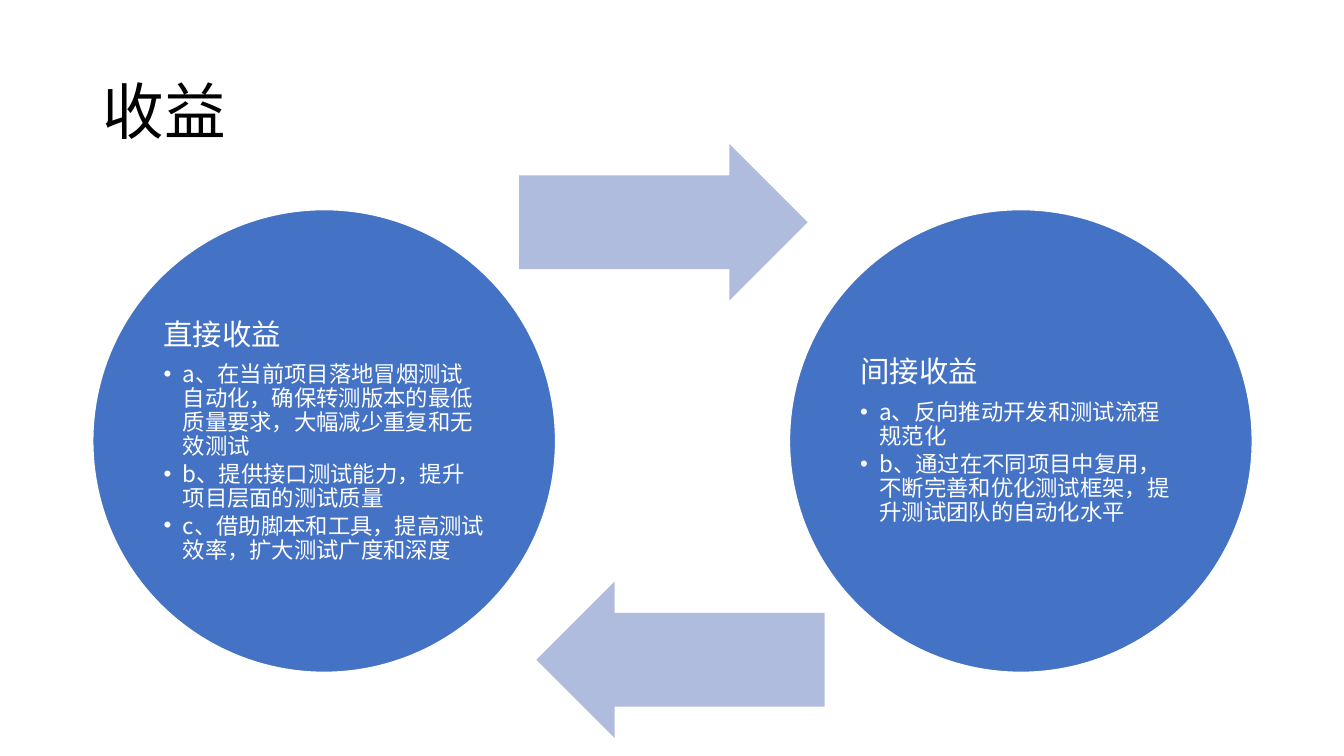
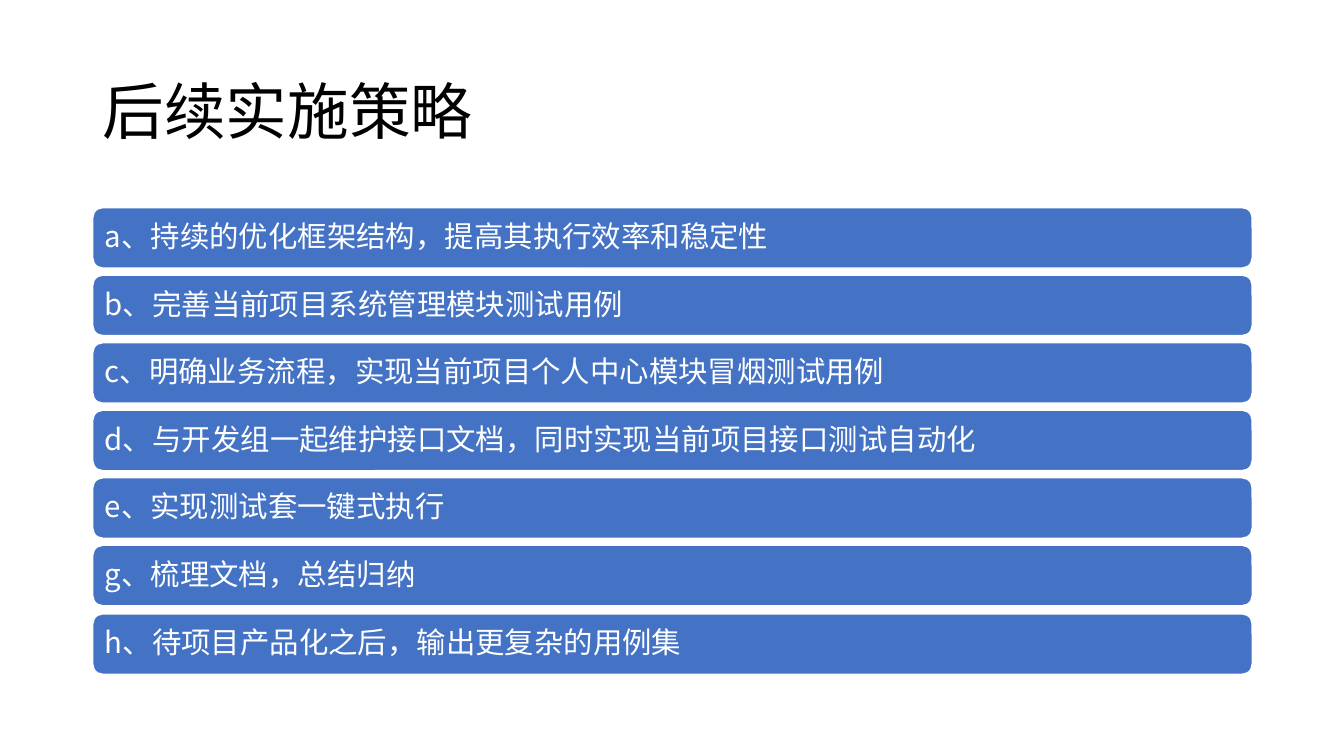
from dataclasses import dataclass

from lxml import etree
from pptx import Presentation
from pptx import util as u
from pptx.dml.color import RGBColor
from pptx.enum import shapes, text
from pptx.oxml.ns import qn

PX = 9144
FONT = "Noto Sans CJK SC"
COLORS = {"paper": "FFFFFF", "title": "000000", "blue": "4472C4", "arrow": "B0BCDE"}
LINE_RATIO = 1.07
LEFT, WIDTH = 92, 1150
CIRCLE_TOP, CIRCLE_SIZE = 208, 459
BAR_TOP, LAST_BAR_TOP, BAR_HEIGHT = 206, 609, 60


@dataclass(frozen=True)
class Benefit:
    left: int
    heading: str
    points: tuple[str, ...]


@dataclass(frozen=True)
class Arrow:
    left: int
    top: int
    rotation: int


BENEFITS = (
    Benefit(LEFT, "直接收益", (
        "a、在当前项目落地冒烟测试自动化，确保转测版本的最低质量要求，大幅减少重复和无效测试",
        "b、提供接口测试能力，提升项目层面的测试质量",
        "c、借助脚本和工具，提高测试效率，扩大测试广度和深度",
    )),
    Benefit(LEFT + WIDTH - CIRCLE_SIZE, "间接收益", (
        "a、反向推动开发和测试流程规范化",
        "b、通过在不同项目中复用，不断完善和优化测试框架，提升测试团队的自动化水平",
    )),
)
ARROWS = (Arrow(515, 143, 0), Arrow(532, 577, 180))
STRATEGIES = (
    "a、持续的优化框架结构，提高其执行效率和稳定性",
    "b、完善当前项目系统管理模块测试用例",
    "c、明确业务流程，实现当前项目个人中心模块冒烟测试用例",
    "d、与开发组一起维护接口文档，同时实现当前项目接口测试自动化",
    "e、实现测试套一键式执行",
    "g、梳理文档，总结归纳",
    "h、待项目产品化之后，输出更复杂的用例集",
)


def color(name: str) -> RGBColor:
    return RGBColor.from_string(COLORS[name])


def set_frame(box, inset_x: int, inset_y: int):
    frame = box.text_frame
    frame.word_wrap = True
    frame.vertical_anchor = text.MSO_ANCHOR.MIDDLE
    frame.margin_left = frame.margin_right = inset_x * PX
    frame.margin_top = frame.margin_bottom = inset_y * PX
    return frame


def write(para, words: str, size: int, ink: str, after: float = 0, bullet: bool = False) -> None:
    para.text = words
    para.alignment = text.PP_ALIGN.LEFT
    para.line_spacing = u.Pt(round(size * LINE_RATIO, 1))
    para.space_after = u.Pt(after)
    if bullet:
        para.level = 1
        properties = para._p.get_or_add_pPr()
        properties.set("marL", str(19 * PX))
        properties.set("indent", str(-19 * PX))
        etree.SubElement(properties, qn("a:buFont"), typeface="Arial")
        etree.SubElement(properties, qn("a:buChar"), char="•")
    para.font.size = u.Pt(size)
    para.font.color.rgb = color(ink)
    para.font.name = FONT
    defaults = para._p.pPr.find(qn("a:defRPr"))
    etree.SubElement(defaults, qn("a:ea"), typeface=FONT)


def add_page(deck, title: str):
    page = deck.slides.add_slide(deck.slide_layouts[6])
    box = page.shapes.add_textbox(LEFT * PX, 40 * PX, WIDTH * PX, 145 * PX)
    write(set_frame(box, 10, 5).paragraphs[0], title, 44, "title")
    return page


def add_filled(page, kind, left: int, top: int, width: int, height: int, fill: str, outlined: bool):
    shape = page.shapes.add_shape(kind, left * PX, top * PX, width * PX, height * PX)
    shape.shadow.inherit = False
    shape.fill.solid()
    shape.fill.fore_color.rgb = color(fill)
    if outlined:
        shape.line.color.rgb = color("paper")
        shape.line.width = u.Pt(1)
    else:
        shape.line.fill.background()
    return shape


def add_benefit(page, benefit: Benefit) -> None:
    circle = add_filled(page, shapes.MSO_SHAPE.OVAL, benefit.left, CIRCLE_TOP,
                        CIRCLE_SIZE, CIRCLE_SIZE, "blue", True)
    frame = set_frame(circle, 3, 3)
    write(frame.paragraphs[0], benefit.heading, 21, "paper", after=8.75)
    for point in benefit.points:
        write(frame.add_paragraph(), point, 16, "paper", after=2.85, bullet=True)


def add_arrow(page, arrow: Arrow) -> None:
    shape = add_filled(page, shapes.MSO_SHAPE.RIGHT_ARROW, arrow.left, arrow.top,
                       286, 155, "arrow", False)
    shape.adjustments[0] = 0.6
    shape.adjustments[1] = 0.5
    shape.rotation = arrow.rotation


def add_strategy(page, index: int, words: str) -> None:
    top = BAR_TOP + (LAST_BAR_TOP - BAR_TOP) * index // (len(STRATEGIES) - 1)
    bar = add_filled(page, shapes.MSO_SHAPE.ROUNDED_RECTANGLE, LEFT, top,
                     WIDTH, BAR_HEIGHT, "blue", True)
    write(set_frame(bar, 9, 9).paragraphs[0], words, 21, "paper")


def main() -> None:
    deck = Presentation()
    deck.slide_width = 1333 * PX
    deck.slide_height = 750 * PX
    benefits_page = add_page(deck, "收益")
    for benefit, arrow in zip(BENEFITS, ARROWS):
        add_benefit(benefits_page, benefit)
        add_arrow(benefits_page, arrow)
    strategy_page = add_page(deck, "后续实施策略")
    for index, words in enumerate(STRATEGIES):
        add_strategy(strategy_page, index, words)
    deck.save("out.pptx")


if __name__ == "__main__":
    main()
